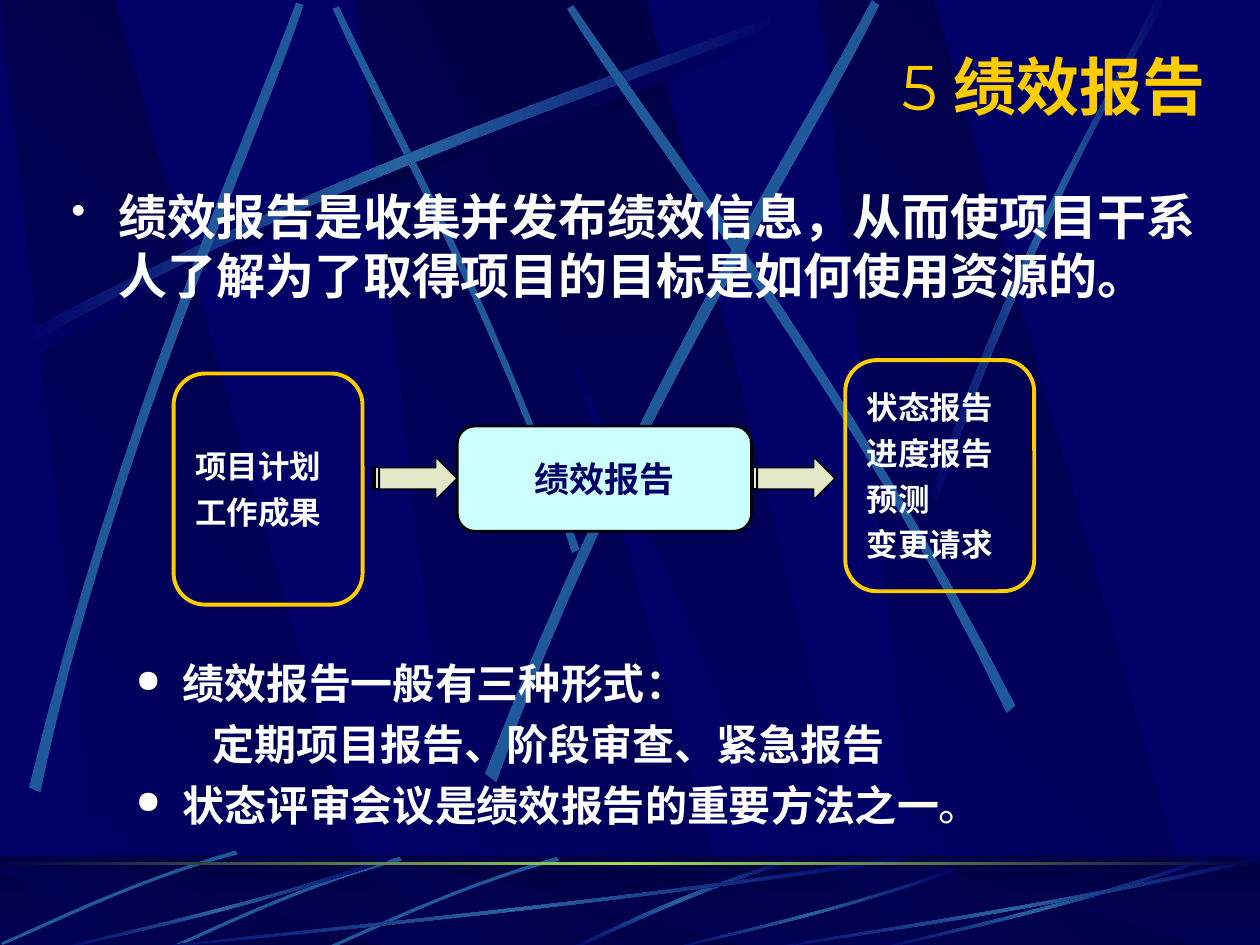
"""Build the performance reporting slide: dark streaked backdrop, process flow and notes."""
from pptx import Presentation
from pptx import util as u
from pptx.dml.color import RGBColor
from pptx.enum import shapes, text
from pptx.oxml import parse_xml
from pptx.oxml.ns import nsdecls, qn
from pptx.oxml.xmlchemy import OxmlElement

COLORS = {"navy": "000066", "night": "000044", "streak": "2663A0", "beam": "20599A",
          "lime": "9CE157", "gold": "FFCC00", "white": "FFFFFF", "ice": "CCFFFF",
          "sand": "E4E8C8", "black": "000000"}
FADING = ("navy", "streak", "navy")
GRID = 0.0254
BEAMS = [
    [(460, 436), (391, 234), (302, 77), (269, 5), (264, 7), (295, 79), (398, 258), (454, 439)],
    [(23, 625), (93, 334), (197, 105), (235, 2), (241, 4), (207, 108), (86, 368), (32, 629)],
    [(385, 614), (498, 320), (638, 102), (692, 0), (698, 4), (649, 108), (486, 355), (394, 621)],
    [(806, 560), (670, 293), (516, 95), (455, 4), (450, 7), (507, 101), (685, 325), (799, 566)],
]
LONG_STREAK = [(14, 267), (278, 125), (518, 51), (620, 10),
               (623, 16), (522, 61), (248, 143), (17, 277)]
RIGHT_STREAK = [(738, 393), (814, 173), (888, 66), (917, 0),
                (927, 0), (836, 145), (769, 322), (744, 397)]
FLOOR_BEAM = [(442, 680), (355, 705), (287, 740), (256, 753),
              (257, 755), (288, 743), (365, 703), (444, 683)]
FLOOR_ARC = [(627, 682), (537, 709), (477, 742), (448, 754),
             (453, 755), (490, 737), (571, 700), (628, 685)]
SWEEP = [(1, .04), (.57, .57), (.17, .85), (.005, 1), (0, .99), (.17, .81), (.62, .5), (.995, 0)]


def rgb(name):
    """Return the named colour."""
    return RGBColor.from_string(COLORS[name])


def assign(target, formats):
    """Set every format value on the target."""
    for attribute, value in formats.items():
        setattr(target, attribute, value)


def paint_gradient(shape, names, angle):
    """Fill a shape with evenly spaced gradient stops."""
    stops = "".join(
        f'<a:gs pos="{100000 * i // (len(names) - 1)}"><a:srgbClr val="{COLORS[name]}"/></a:gs>'
        for i, name in enumerate(names))
    gradient = parse_xml(f'<a:gradFill rotWithShape="1" {nsdecls("a")}><a:gsLst>{stops}</a:gsLst>'
                         f'<a:lin ang="{angle * 60000}" scaled="0"/></a:gradFill>')
    shape.fill.background()
    properties = shape._element.spPr
    properties.replace(properties.find(qn("a:noFill")), gradient)


def paint(shape, fill=None, line=None, weight=1):
    """Set the solid fill and outline of a shape, or clear them."""
    shape.shadow.inherit = False
    for part, color in ((shape.fill, fill), (shape.line.fill, line)):
        if color:
            part.solid()
            part.fore_color.rgb = rgb(color)
        else:
            part.background()
    if line:
        shape.line.width = u.Pt(weight)


def add_preset(slide, kind, box, **look):
    """Add a preset shape at a box given in centimetres."""
    shape = slide.shapes.add_shape(kind, *map(u.Cm, box))
    paint(shape, **look)
    return shape


def add_outline(slide, points, fill=None):
    """Add a closed outline from points on the backdrop grid."""
    corners = [tuple(u.Cm(GRID * value) for value in point) for point in points]
    builder = slide.shapes.build_freeform(*corners[0], scale=1.0)
    builder.add_line_segments(corners[1:], close=True)
    outline = builder.convert_to_shape()
    paint(outline, fill)
    return outline


def curve(a, b, c, d, steps=16):
    """Return points along a cubic curve."""
    return [tuple((1 - t) ** 3 * p + 3 * t * (1 - t) ** 2 * q + 3 * t * t * (1 - t) * r + t ** 3 * s
                  for p, q, r, s in zip(a, b, c, d))
            for t in (i / steps for i in range(steps + 1))]


def add_streak(slide, points, shift=(0, 0), fill=None, names=FADING):
    """Add a thin blade bounded by two curves, solid or fading."""
    moved = [(x + shift[0], y + shift[1]) for x, y in points]
    streak = add_outline(slide, curve(*moved[:4]) + curve(*moved[4:]), fill)
    if not fill:
        paint_gradient(streak, names, 0)


def add_panels(slide, top):
    """Add the slanted dark panels from the given top to the slide's foot."""
    for left in (283, 0, 650):
        panel = add_outline(slide, [(left + 86, 750), (left + 302, 750), (left + 91, top), (left, top)])
        paint_gradient(panel, ("night", "navy"), 135)
    wedge = add_outline(slide, [(333, top), (658, 750), (694, 750), (513, top)])
    paint_gradient(wedge, ("night", "navy"), 90)


def add_backdrop(slide):
    """Draw the streaked upper field, the floor and the horizon line."""
    rectangle = shapes.MSO_SHAPE.RECTANGLE
    add_panels(slide, 0)
    add_streak(slide, LONG_STREAK, (6, 8), names=("navy", "night", "navy"))
    add_streak(slide, BEAMS[0], fill="beam")
    add_streak(slide, LONG_STREAK)
    for beam in BEAMS[1:]:
        add_streak(slide, beam, fill="beam")
    add_streak(slide, RIGHT_STREAK)

    floor = (0, 17.25, 25.4, 1.8)
    paint_gradient(add_preset(slide, rectangle, floor), ("night", "navy"), 90)
    add_panels(slide, 688)
    veil = add_preset(slide, rectangle, floor, fill="night")
    alpha = OxmlElement("a:alpha")
    alpha.set("val", "50000")
    veil._element.spPr.find(qn("a:solidFill"))[0].append(alpha)
    add_streak(slide, FLOOR_ARC)
    for shift in ((0, 0), (-125, 0), (-255, -5)):
        add_streak(slide, FLOOR_BEAM, shift, "beam")
    for left, top, width in ((100, 680, 617), (42, 680, 267), (527, 689, 231),
                             (692, 680, 267), (600, 680, 400)):
        add_streak(slide, [(left + width * x, top + (755 - top) * y) for x, y in SWEEP])
    horizon = add_preset(slide, rectangle, (0, 17.37, 25.4, 0.06))
    paint_gradient(horizon, ("night", "lime", "night"), 0)


def write(shape, lines, size, color="white", anchor=text.MSO_ANCHOR.TOP,
          align=text.PP_ALIGN.LEFT, before=0):
    """Fill a shape with lines, each a list of (words, font formats), and return the paragraphs."""
    frame = shape.text_frame
    assign(frame, {"word_wrap": True, "vertical_anchor": anchor})
    frame.text = "\n".join("" for _ in lines)
    for paragraph, pieces in zip(frame.paragraphs, lines):
        assign(paragraph, {"alignment": align, "space_before": u.Pt(before)})
        for words, formats in pieces:
            run = paragraph.add_run()
            run.text = words
            assign(run.font, {"size": u.Pt(size), "name": "Arial", "bold": True, **formats})
            run.font.color.rgb = rgb(color)
    return frame.paragraphs


def indent(paragraph, margin, bullet=None, percent=100):
    """Set the left margin and, if given, a hanging white bullet."""
    properties = paragraph._p.get_or_add_pPr()
    properties.set("marL", str(u.Cm(margin)))
    if bullet:
        properties.set("indent", str(-u.Cm(margin)))
        for markup in (f'<a:buClr {nsdecls("a")}><a:srgbClr val="{COLORS["white"]}"/></a:buClr>',
                       f'<a:buSzPct {nsdecls("a")} val="{percent * 1000}"/>',
                       f'<a:buChar {nsdecls("a")} char="{bullet}"/>'):
            properties.append(parse_xml(markup))


def add_text(slide, box, lines, size, **style):
    """Add a text box given in centimetres and return its paragraphs."""
    return write(slide.shapes.add_textbox(*map(u.Cm, box)), lines, size, **style)


def add_flow(slide):
    """Draw inputs, process and outputs joined by striped arrows."""
    kinds = shapes.MSO_SHAPE
    middle = text.MSO_ANCHOR.MIDDLE
    for left, top, items in ((3.5, 7.53, ("项目计划", "工作成果")),
                             (17.04, 7.26, ("状态报告", "进度报告", "预测", "变更请求"))):
        card = add_preset(slide, kinds.ROUNDED_RECTANGLE, (left, top, 3.81, 4.66),
                          line="gold", weight=2.25)
        write(card, [[(item, {})] for item in items], 18, anchor=middle, before=4.5)
    process = add_preset(slide, kinds.FLOWCHART_ALTERNATE_PROCESS, (9.22, 8.59, 5.93, 2.12),
                         fill="ice", line="black", weight=1.5)
    write(process, [[("绩效报告", {})]], 20, "navy", middle, text.PP_ALIGN.CENTER, 5)
    for left in (7.52, 15.14):
        add_preset(slide, kinds.STRIPED_RIGHT_ARROW, (left, 9.22, 1.69, 0.85),
                   fill="sand", line="black", weight=0.75)


def main():
    """Build and save the slide."""
    deck = Presentation()
    assign(deck, {"slide_width": u.Cm(25.4), "slide_height": u.Cm(19.05)})
    slide = deck.slides.add_slide(deck.slide_layouts[6])
    slide.background.fill.solid()
    slide.background.fill.fore_color.rgb = rgb("navy")
    add_backdrop(slide)

    add_text(slide, (2.97, 0.84, 21.59, 1.78),
             [[("5 ", {"name": "Montserrat", "bold": False}), ("绩效报告", {"name": "Montserrat"})]],
             36, color="gold", anchor=text.MSO_ANCHOR.MIDDLE, align=text.PP_ALIGN.RIGHT)
    definition = add_text(slide, (1.19, 3.63, 23.32, 2.79), [[(
        "绩效报告是收集并发布绩效信息，从而使项目干系人了解为了取得项目的目标是如何使用资源的。", {})]],
        28, before=7)
    indent(definition[0], 0.95, "•", 85)
    add_flow(slide)
    forms, kinds, review = add_text(slide, (2.49, 13.13, 22.23, 4.01), [
        [("绩效报告一般有三种形式：", {})],
        [("定期项目报告、阶段审查、紧急报告", {})],
        [("状态评审会议是绩效报告的重要方法之一", {}), ("。", {"bold": False})]], 24, before=6)
    for bulleted in (forms, review):
        indent(bulleted, 0.95, "●", 75)
    indent(kinds, 1.55)
    deck.save("out.pptx")


if __name__ == "__main__":
    main()
